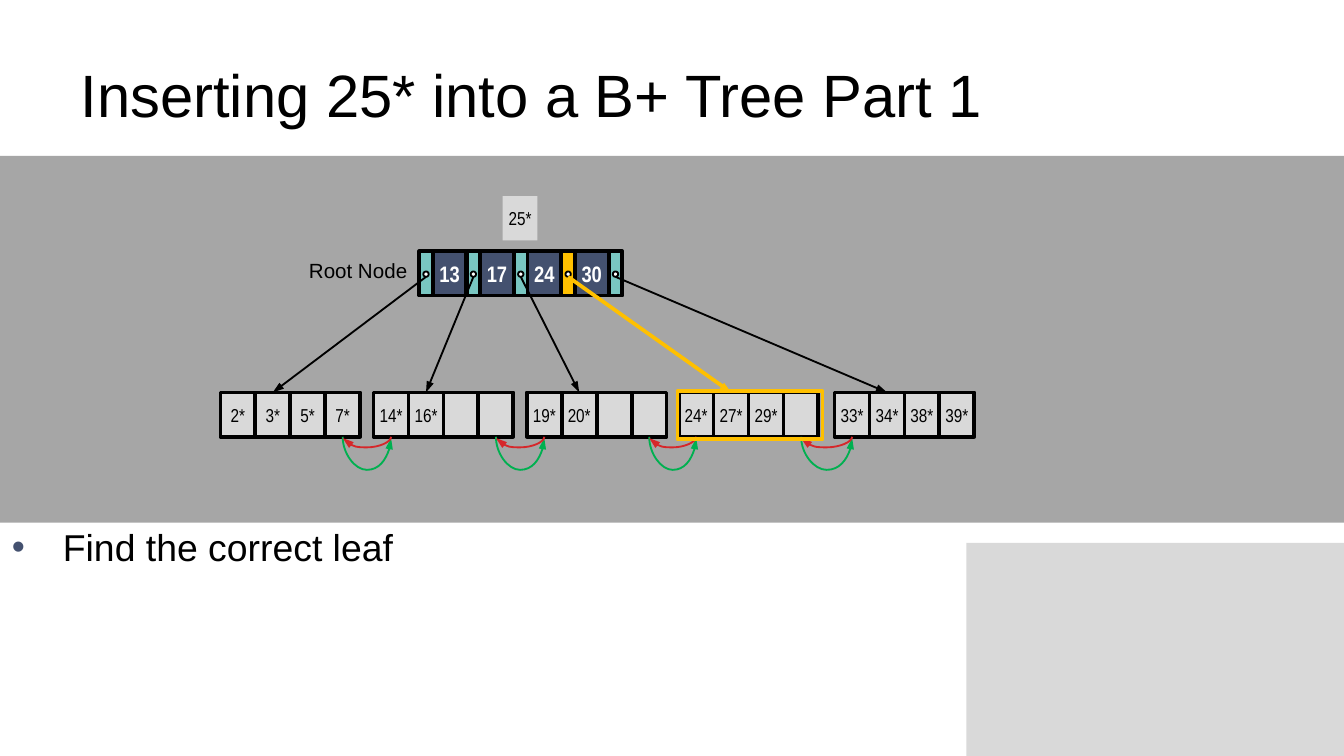
from lxml.etree import SubElement
from pptx import Presentation
from pptx.dml.color import RGBColor
from pptx.enum.shapes import MSO_CONNECTOR as Link, MSO_SHAPE as Shape
from pptx.enum.text import MSO_ANCHOR as Anchor, PP_ALIGN as Align
from pptx.oxml.ns import qn
from pptx.util import Inches, Pt

# Content
TITLE = "Inserting 25* into a B+ Tree Part 1"
STEP = "Find the correct leaf"
ROOT_LABEL = "Root Node"
NEW_ENTRY = "25*"
ROOT_KEYS = ["13", "17", "24", "30"]
LEAVES = [
    ["2*", "3*", "5*", "7*"],
    ["14*", "16*", "", ""],
    ["19*", "20*", "", ""],
    ["24*", "27*", "29*", ""],
    ["33*", "34*", "38*", "39*"],
]
CHOSEN = 3  # index of the pointer and leaf that the new entry belongs to

# Colours
BLACK, WHITE = "000000", "FFFFFF"
BAND, PALE, NAVY, TEAL = "A6A6A6", "D9D9D9", "44516F", "79C6C1"
GOLD, GREEN, RED = "FFC000", "00B050", "D6272A"

# Grid, in inches
WIDTH = 10
HEIGHT = WIDTH * 9 / 16
ROW = 0.33
ROOT_LEFT, ROOT_TOP = 3.12, 1.87
POINTER, KEY = 0.1, 0.25
ROOT_PITCH = 1.41 / len(ROOT_KEYS)
DOT = 0.04
CELL, LEAF_TOP = 0.26, 2.92
LEAF_LEFTS = [1.64, 2.78, 3.92, 5.05, 6.21]
LINK_RISE = 0.01

deck = Presentation()
deck.slide_width, deck.slide_height = Inches(WIDTH), Inches(HEIGHT)
page = deck.slides.add_slide(deck.slide_layouts[5])


def colour(code):
    return RGBColor.from_string(code)


def write(frame, text, size, font="Arial", code=BLACK, bold=False):
    frame.text = text
    para = frame.paragraphs[0]
    span = para.runs[0]
    span.font.size, span.font.name, span.font.bold = Pt(size), font, bold
    span.font.color.rgb = colour(code)
    return para


def add_box(left, top, width, height, fill=None, line=None, weight=2, kind=Shape.RECTANGLE):
    box = page.shapes.add_shape(kind, *map(Inches, (left, top, width, height)))
    box.shadow.inherit = False
    if fill:
        box.fill.solid()
        box.fill.fore_color.rgb = colour(fill)
    else:
        box.fill.background()
    if line:
        box.line.color.rgb = colour(line)
        box.line.width = Pt(weight)
    else:
        box.line.fill.background()
    return box


def add_cell(left, top, width, text, fill=PALE, line=BLACK, size=10, **style):
    box = add_box(left, top, width, ROW, fill, line)
    frame = box.text_frame
    frame.margin_left = frame.margin_right = 0
    frame.vertical_anchor = Anchor.MIDDLE
    if text:
        write(frame, text, size, "Arial Narrow", **style).alignment = Align.CENTER


def add_text(left, top, width, height, text, size, wrap=True):
    box = page.shapes.add_textbox(*map(Inches, (left, top, width, height)))
    box.text_frame.word_wrap = wrap
    return write(box.text_frame, text, size)


def add_arrow(start, end, code=BLACK, weight=1, kind=Link.STRAIGHT):
    arrow = page.shapes.add_connector(kind, *map(Inches, (*start, *end)))
    arrow.line.color.rgb = colour(code)
    arrow.line.width = Pt(weight)
    outline = arrow._element.spPr.find(qn("a:ln"))
    SubElement(outline, qn("a:tailEnd"), type="triangle", w="sm")
    SubElement(arrow._element.spPr, qn("a:effectLst"))
    return arrow


def add_leaf_link(left, right, depth, code, forward):
    """Curve hanging below the leaves: an upright curve turned a quarter."""
    middle, half = (left + right) / 2, (right - left) / 2
    centre = LEAF_TOP + ROW + LINK_RISE / 2
    arrow = add_arrow((middle - LINK_RISE / 2, centre - half),
                      (middle + LINK_RISE / 2, centre + half), code, kind=Link.CURVE)
    frame = arrow._element.spPr.find(qn("a:xfrm"))
    frame.set("rot", str((270 if forward else 90) * 60000))
    if forward:
        frame.set("flipH", "1")
    guides = arrow._element.spPr.find(qn("a:prstGeom")).get_or_add_avLst()
    SubElement(guides, qn("a:gd"), name="adj1", fmla=f"val {round(depth / LINK_RISE * 100000)}")


# Background panels
add_box(7.19, 4.04, WIDTH - 7.19, HEIGHT - 4.04, PALE)
add_box(0, 1.16, WIDTH, 2.73, BAND)

# Title
title = page.shapes.title
title.left, title.top, title.width, title.height = map(Inches, (0.5, 0.23, 9, 0.94))
title.text_frame.vertical_anchor = Anchor.MIDDLE
write(title.text_frame, TITLE, 32).alignment = Align.LEFT

# Root node: keys between child pointers
pointers = [ROOT_LEFT + i * ROOT_PITCH for i in range(len(LEAVES))]
for left, key in zip(pointers, ROOT_KEYS):
    add_cell(left + POINTER, ROOT_TOP, KEY, key, NAVY, size=12, code=WHITE, bold=True)
for i, left in enumerate(pointers):
    add_box(left, ROOT_TOP, POINTER, ROW, GOLD if i == CHOSEN else TEAL, BLACK)
    add_box(left + (POINTER - DOT) / 2, 2.02, DOT, DOT, WHITE, BLACK, 1, Shape.OVAL)
add_text(2.2, 1.87, 0.95, 0.29, ROOT_LABEL, 11, wrap=False)

# Leaves
for left, entries in zip(LEAF_LEFTS, LEAVES):
    for i, entry in enumerate(entries):
        add_cell(left + i * CELL, LEAF_TOP, CELL, entry)

# Pointers to the leaves
for i, (pointer, leaf) in enumerate(zip(pointers, LEAF_LEFTS)):
    code, weight = (GOLD, 2) if i == CHOSEN else (BLACK, 1)
    add_arrow((pointer + POINTER / 2, 2.06), (leaf + 1.5 * CELL, LEAF_TOP), code, weight)

# Links between neighbouring leaves
for leaf, following in zip(LEAF_LEFTS, LEAF_LEFTS[1:]):
    ends = leaf + 3.5 * CELL, following + 0.5 * CELL
    add_leaf_link(*ends, 0.25, GREEN, forward=True)
    add_leaf_link(*ends, 0.08, RED, forward=False)

# Chosen leaf and the entry to insert
add_box(LEAF_LEFTS[CHOSEN] - 0.01, LEAF_TOP - 0.01, 1.08, 0.36, line=GOLD)
add_cell(3.74, 1.46, CELL, NEW_ENTRY, line=None)

# Step, as a bullet
para = add_text(-0.01, 3.85, 9, 1.84, STEP, 20)
para.space_before = Pt(4)
props = para._p.get_or_add_pPr()
props.set("marL", str(Inches(0.38)))
props.set("indent", str(Inches(-0.38)))
bullet_colour = SubElement(props, qn("a:buClr"))
SubElement(bullet_colour, qn("a:srgbClr"), val=NAVY)
SubElement(props, qn("a:buFont"), typeface="Arial")
SubElement(props, qn("a:buChar"), char="•")

deck.save("out.pptx")
